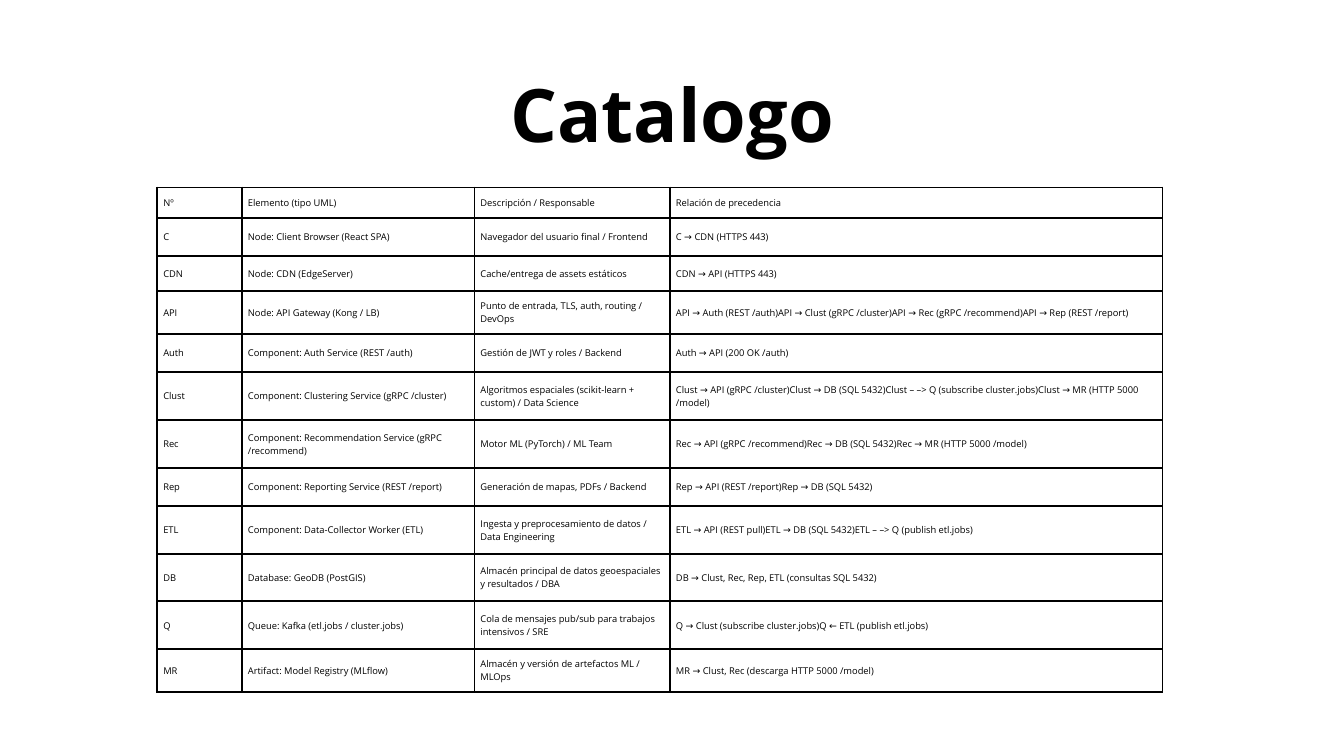
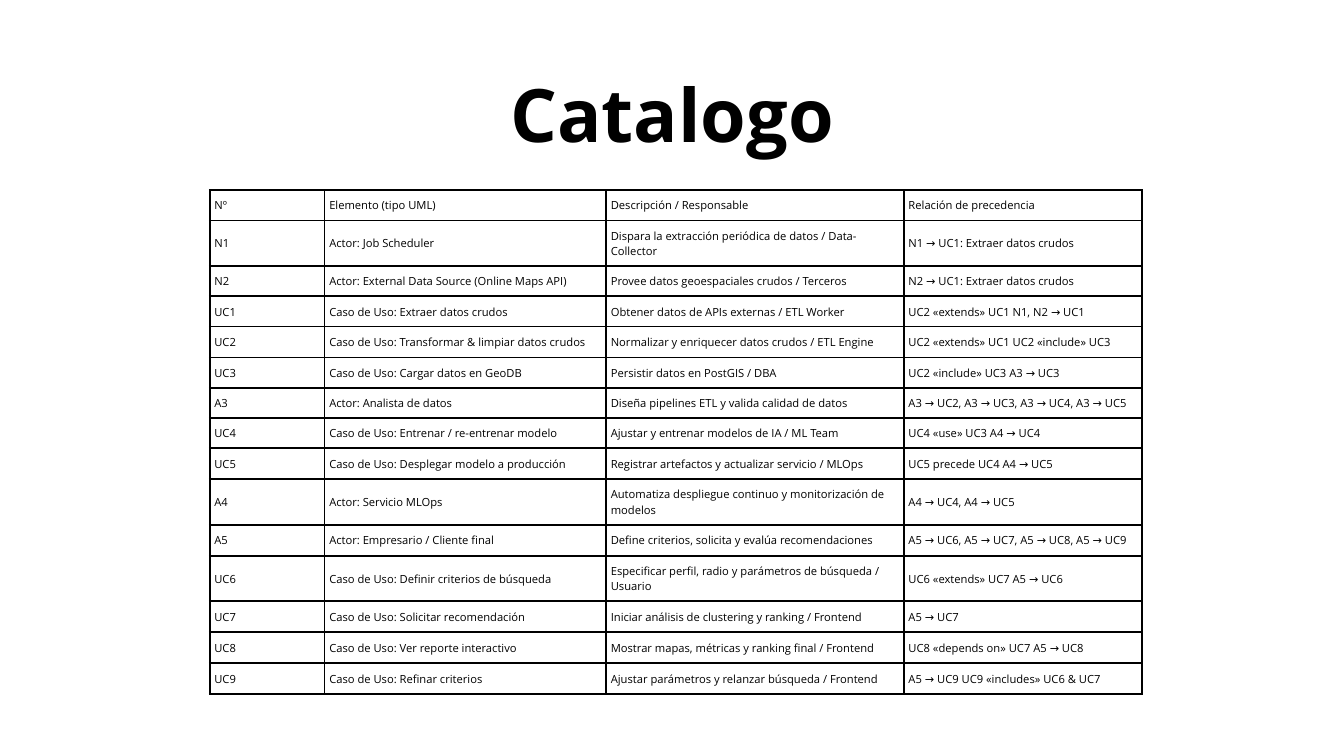
from dataclasses import dataclass

from lxml import etree
from pptx import Presentation
from pptx.dml.color import RGBColor
from pptx.enum.text import MSO_ANCHOR, MSO_AUTO_SIZE, PP_ALIGN
from pptx.oxml.ns import qn
from pptx.util import Inches, Pt

CENTER = PP_ALIGN.CENTER
MIDDLE = MSO_ANCHOR.MIDDLE
GROW = MSO_AUTO_SIZE.SHAPE_TO_FIT_TEXT
BLANK_LAYOUT = 6
BORDER_TAGS = ("a:lnL", "a:lnR", "a:lnT", "a:lnB")


@dataclass(frozen=True)
class Theme:
    font: str = "Open Sans"
    ink: str = "000000"
    paper: str = "FFFFFF"
    title_size: float = 79
    component_size: float = 10
    use_case_size: float = 12
    line_factor: float = 1.4
    border_width: float = 2.25


HEADER = ("Nº", "Elemento (tipo UML)", "Descripción / Responsable", "Relación de precedencia")

COMPONENTS = (
    HEADER,
    ("C", "Node: Client Browser (React SPA)", "Navegador del usuario final / Frontend",
     "C → CDN (HTTPS 443)"),
    ("CDN", "Node: CDN (EdgeServer)", "Cache/entrega de assets estáticos",
     "CDN → API (HTTPS 443)"),
    ("API", "Node: API Gateway (Kong / LB)", "Punto de entrada, TLS, auth, routing / DevOps",
     "API → Auth (REST /auth)API → Clust (gRPC /cluster)"
     "API → Rec (gRPC /recommend)API → Rep (REST /report)"),
    ("Auth", "Component: Auth Service (REST /auth)", "Gestión de JWT y roles / Backend",
     "Auth → API (200 OK /auth)"),
    ("Clust", "Component: Clustering Service (gRPC /cluster)",
     "Algoritmos espaciales (scikit-learn + custom) / Data Science",
     "Clust → API (gRPC /cluster)Clust → DB (SQL 5432)"
     "Clust – –> Q (subscribe cluster.jobs)Clust → MR (HTTP 5000 /model)"),
    ("Rec", "Component: Recommendation Service (gRPC /recommend)", "Motor ML (PyTorch) / ML Team",
     "Rec → API (gRPC /recommend)Rec → DB (SQL 5432)Rec → MR (HTTP 5000 /model)"),
    ("Rep", "Component: Reporting Service (REST /report)", "Generación de mapas, PDFs / Backend",
     "Rep → API (REST /report)Rep → DB (SQL 5432)"),
    ("ETL", "Component: Data-Collector Worker (ETL)",
     "Ingesta y preprocesamiento de datos / Data Engineering",
     "ETL → API (REST pull)ETL → DB (SQL 5432)ETL – –> Q (publish etl.jobs)"),
    ("DB", "Database: GeoDB (PostGIS)",
     "Almacén principal de datos geoespaciales y resultados / DBA",
     "DB → Clust, Rec, Rep, ETL (consultas SQL 5432)"),
    ("Q", "Queue: Kafka (etl.jobs / cluster.jobs)",
     "Cola de mensajes pub/sub para trabajos intensivos / SRE",
     "Q → Clust (subscribe cluster.jobs)Q ← ETL (publish etl.jobs)"),
    ("MR", "Artifact: Model Registry (MLflow)", "Almacén y versión de artefactos ML / MLOps",
     "MR → Clust, Rec (descarga HTTP 5000 /model)"),
)

USE_CASES = (
    HEADER,
    ("N1", "Actor: Job Scheduler", "Dispara la extracción periódica de datos / Data-Collector",
     "N1 → UC1: Extraer datos crudos"),
    ("N2", "Actor: External Data Source (Online Maps API)",
     "Provee datos geoespaciales crudos / Terceros", "N2 → UC1: Extraer datos crudos"),
    ("UC1", "Caso de Uso: Extraer datos crudos", "Obtener datos de APIs externas / ETL Worker",
     "UC2 «extends» UC1 N1, N2 → UC1"),
    ("UC2", "Caso de Uso: Transformar & limpiar datos crudos",
     "Normalizar y enriquecer datos crudos / ETL Engine", "UC2 «extends» UC1 UC2 «include» UC3"),
    ("UC3", "Caso de Uso: Cargar datos en GeoDB", "Persistir datos en PostGIS / DBA",
     "UC2 «include» UC3 A3 → UC3"),
    ("A3", "Actor: Analista de datos", "Diseña pipelines ETL y valida calidad de datos",
     "A3 → UC2, A3 → UC3, A3 → UC4, A3 → UC5"),
    ("UC4", "Caso de Uso: Entrenar / re-entrenar modelo",
     "Ajustar y entrenar modelos de IA / ML Team", "UC4 «use» UC3 A4 → UC4"),
    ("UC5", "Caso de Uso: Desplegar modelo a producción",
     "Registrar artefactos y actualizar servicio / MLOps", "UC5 precede UC4 A4 → UC5"),
    ("A4", "Actor: Servicio MLOps", "Automatiza despliegue continuo y monitorización de modelos",
     "A4 → UC4, A4 → UC5"),
    ("A5", "Actor: Empresario / Cliente final",
     "Define criterios, solicita y evalúa recomendaciones",
     "A5 → UC6, A5 → UC7, A5 → UC8, A5 → UC9"),
    ("UC6", "Caso de Uso: Definir criterios de búsqueda",
     "Especificar perfil, radio y parámetros de búsqueda / Usuario", "UC6 «extends» UC7 A5 → UC6"),
    ("UC7", "Caso de Uso: Solicitar recomendación",
     "Iniciar análisis de clustering y ranking / Frontend", "A5 → UC7"),
    ("UC8", "Caso de Uso: Ver reporte interactivo",
     "Mostrar mapas, métricas y ranking final / Frontend", "UC8 «depends on» UC7 A5 → UC8"),
    ("UC9", "Caso de Uso: Refinar criterios",
     "Ajustar parámetros y relanzar búsqueda / Frontend", "A5 → UC9 UC9 «includes» UC6 & UC7"),
)

COMPONENT_COLUMNS = (1.26, 3.46, 2.91, 7.33)
COMPONENT_ROWS = (0.45, 0.57, 0.52, 0.64, 0.57, 0.71, 0.71, 0.57, 0.71, 0.71, 0.71, 0.64)
USE_CASE_COLUMNS = (1.71, 4.19, 4.43, 3.55)
USE_CASE_ROWS = (0.45, 0.68, 0.45, 0.45, 0.46, 0.45, 0.45, 0.45, 0.46, 0.68, 0.46, 0.68,
                 0.46, 0.46, 0.46)


class CatalogDeck:
    """Builds catalog slides in one shared style."""

    def __init__(self, theme):
        self.theme = theme
        self.presentation = Presentation()
        self.presentation.slide_width = Inches(20)
        self.presentation.slide_height = Inches(11.25)
        self.slide = None

    def add_slide(self, title):
        layout = self.presentation.slide_layouts[BLANK_LAYOUT]
        self.slide = self.presentation.slides.add_slide(layout)
        fill = self.slide.background.fill
        fill.solid()
        fill.fore_color.rgb = RGBColor.from_string(self.theme.paper)
        self.add_title(title)

    def add_title(self, text):
        box = self.slide.shapes.add_textbox(Inches(1.9), Inches(0.8), Inches(16.2), Inches(1.47))
        frame = box.text_frame
        frame.word_wrap = True
        frame.auto_size = GROW
        self.apply_margins(frame, 0)
        paragraph = frame.paragraphs[0]
        paragraph.alignment = CENTER
        self.fill_paragraph(paragraph, text, self.theme.title_size, bold=True)

    def add_table(self, left, top, columns, heights, rows, size, margin):
        shape = self.slide.shapes.add_table(
            len(rows), len(columns), Inches(left), Inches(top),
            Inches(sum(columns)), Inches(sum(heights)))
        table = shape.table
        table.first_row = False
        table.horz_banding = False
        for column, width in zip(table.columns, columns):
            column.width = Inches(width)
        for row, height, texts in zip(table.rows, heights, rows):
            row.height = Inches(height)
            for cell, text in zip(row.cells, texts):
                cell.vertical_anchor = MIDDLE
                self.apply_margins(cell, margin)
                self.fill_paragraph(cell.text_frame.paragraphs[0], text, size)
                self.add_borders(cell)
                cell.fill.background()

    def add_borders(self, cell):
        properties = cell._tc.get_or_add_tcPr()
        for tag in BORDER_TAGS:
            line = etree.SubElement(properties, qn(tag), w=str(Pt(self.theme.border_width)))
            fill = etree.SubElement(line, qn("a:solidFill"))
            etree.SubElement(fill, qn("a:srgbClr"), val=self.theme.ink)

    def fill_paragraph(self, paragraph, text, size, bold=False):
        paragraph.text = text
        paragraph.line_spacing = Pt(size * self.theme.line_factor)
        font = paragraph.font
        font.name = self.theme.font
        font.size = Pt(size)
        font.bold = bold
        font.color.rgb = RGBColor.from_string(self.theme.ink)

    @staticmethod
    def apply_margins(target, margin):
        target.margin_left = target.margin_right = Inches(margin)
        target.margin_top = target.margin_bottom = Inches(margin)


def main():
    theme = Theme()
    deck = CatalogDeck(theme)
    deck.add_slide("Catalogo")
    deck.add_table(2.34, 2.79, COMPONENT_COLUMNS, COMPONENT_ROWS, COMPONENTS,
                   theme.component_size, margin=0.09)
    deck.add_slide("Catalogo")
    deck.add_table(3.12, 2.83, USE_CASE_COLUMNS, USE_CASE_ROWS, USE_CASES,
                   theme.use_case_size, margin=0.07)
    deck.presentation.save("out.pptx")


if __name__ == "__main__":
    main()
